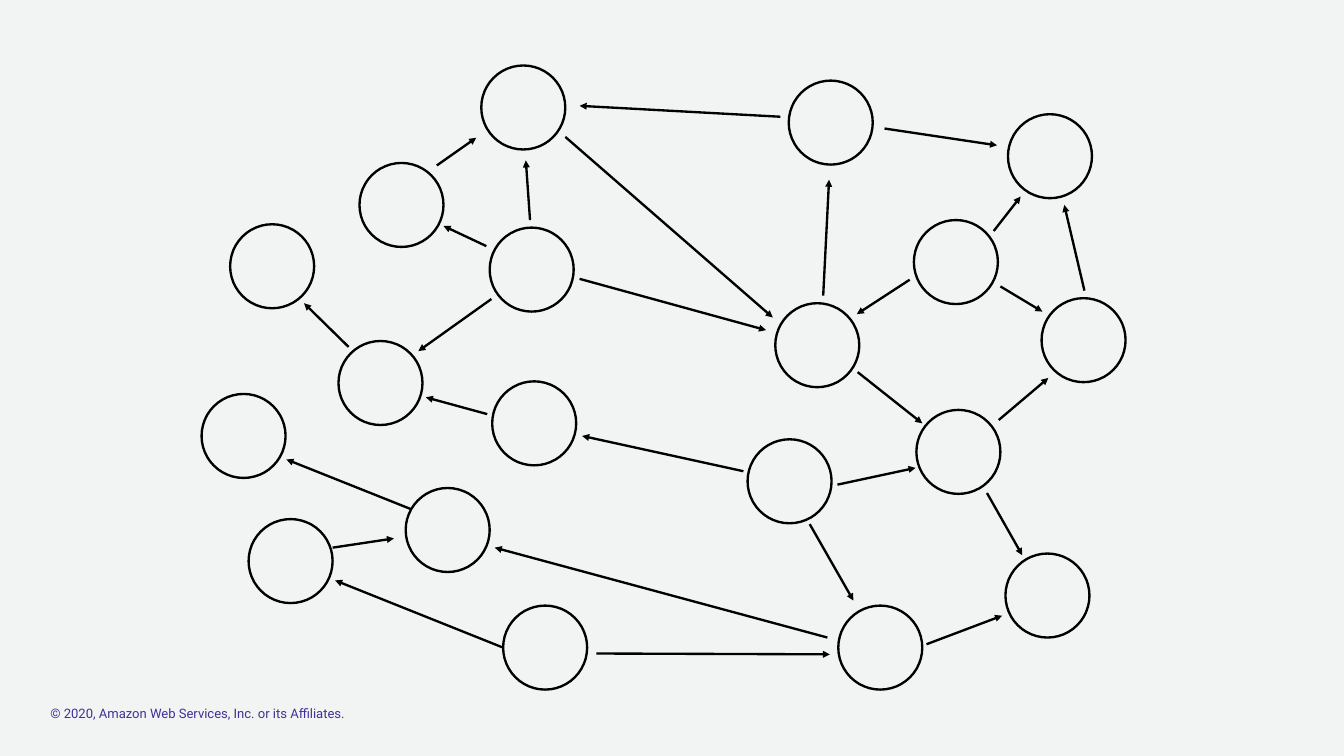
from dataclasses import dataclass
from typing import NamedTuple

from lxml.etree import SubElement
from pptx import Presentation
from pptx.dml.color import RGBColor as RGB
from pptx.enum.shapes import MSO_CONNECTOR as Line, MSO_SHAPE as Shape
from pptx.oxml.ns import qn
from pptx.slide import Slide
from pptx.util import Inches, Length, Pt

COLUMNS, ROWS = 16, 9


@dataclass(frozen=True)
class Theme:
    background: RGB = RGB.from_string("F2F3F3")
    ink: RGB = RGB.from_string("000000")
    footer: RGB = RGB.from_string("3C3399")
    font: str = "Roboto"
    footer_size: Length = Pt(11.2)
    stroke: Length = Pt(2)


class Node(NamedTuple):
    col: float
    row: float
    size: float = 1


class Arrow(NamedTuple):
    from_col: float
    from_row: float
    to_col: float
    to_row: float


THEME = Theme()

NODES = [
    Node(5.73, 0.78), Node(4.28, 1.94), Node(2.74, 2.67), Node(5.83, 2.71),
    Node(4.03, 4.06), Node(5.86, 4.54), Node(2.4, 4.69), Node(2.96, 6.18),
    Node(4.83, 5.81), Node(5.99, 7.21), Node(9.39, 0.96), Node(12, 1.36),
    Node(10.88, 2.62), Node(12.4, 3.55), Node(9.23, 3.61), Node(10.91, 4.88),
    Node(8.9, 5.23), Node(11.97, 6.59), Node(9.98, 7.21),
]

ARROWS = [
    Arrow(6.9, 3.32, 9.12, 3.93), Arrow(9.29, 1.39, 6.9, 1.26),
    Arrow(9.8, 3.52, 9.87, 2.14), Arrow(10.53, 1.53, 11.87, 1.73),
    Arrow(11.83, 2.75, 12.15, 2.34), Arrow(10.83, 3.33, 10.2, 3.74),
    Arrow(10.21, 4.43, 10.98, 5.04), Arrow(11.91, 3.41, 12.41, 3.71),
    Arrow(11.89, 5, 12.48, 4.5), Arrow(12.91, 3.46, 12.67, 2.44),
    Arrow(11.75, 5.87, 12.17, 6.61), Arrow(6.73, 1.63, 9.2, 3.78),
    Arrow(8.85, 5.61, 6.93, 5.19), Arrow(9.97, 5.77, 10.9, 5.57),
    Arrow(9.64, 6.24, 10.16, 7.15), Arrow(11.03, 7.67, 11.93, 7.33),
    Arrow(7.1, 7.78, 9.88, 7.79), Arrow(5.99, 7.71, 3.99, 6.91),
    Arrow(9.85, 7.59, 5.89, 6.52), Arrow(4.89, 6.06, 3.41, 5.47),
    Arrow(5.8, 4.93, 5.07, 4.73), Arrow(4.15, 4.13, 3.62, 3.61),
    Arrow(5.79, 2.93, 5.28, 2.69), Arrow(5.85, 3.56, 4.98, 4.18),
    Arrow(6.31, 2.62, 6.26, 1.91), Arrow(5.2, 1.97, 5.67, 1.64),
    Arrow(3.96, 6.52, 4.69, 6.41),
]


def cells(*spans: float) -> list[Length]:
    return [Inches(span) for span in spans]


def draw_node(s: Slide, node: Node) -> None:
    sp = s.shapes.add_shape(Shape.OVAL, *cells(node.col, node.row, node.size, node.size))
    sp.shadow.inherit = False
    sp.fill.solid()
    sp.fill.fore_color.rgb = THEME.background
    sp.line.color.rgb = THEME.ink
    sp.line.width = THEME.stroke


def draw_arrow(s: Slide, arrow: Arrow) -> None:
    cxn = s.shapes.add_connector(Line.STRAIGHT, *cells(*arrow))
    cxn.line.color.rgb = THEME.ink
    cxn.line.width = THEME.stroke
    sp_pr = cxn.line._get_or_add_ln().getparent()
    SubElement(sp_pr.find(qn("a:ln")), qn("a:tailEnd"), type="triangle")
    SubElement(sp_pr, qn("a:effectLst"))


def draw_footer(s: Slide, text: str) -> None:
    tf = s.shapes.add_textbox(*cells(0.6, 8.4, 7.78, 0.19)).text_frame
    tf.word_wrap = True
    tf.margin_left = tf.margin_top = tf.margin_right = tf.margin_bottom = 0
    p = tf.paragraphs[0]
    p.text = text
    p.font.name = THEME.font
    p.font.size = THEME.footer_size
    p.font.color.rgb = THEME.footer


def main() -> None:
    prs = Presentation()
    prs.slide_width, prs.slide_height = cells(COLUMNS, ROWS)
    s = prs.slides.add_slide(prs.slide_layouts[6])
    s.background.fill.solid()
    s.background.fill.fore_color.rgb = THEME.background
    draw_footer(s, "© 2020, Amazon Web Services, Inc. or its Affiliates.")
    for node in NODES:
        draw_node(s, node)
    for arrow in ARROWS:
        draw_arrow(s, arrow)
    prs.save("out.pptx")


if __name__ == "__main__":
    main()
